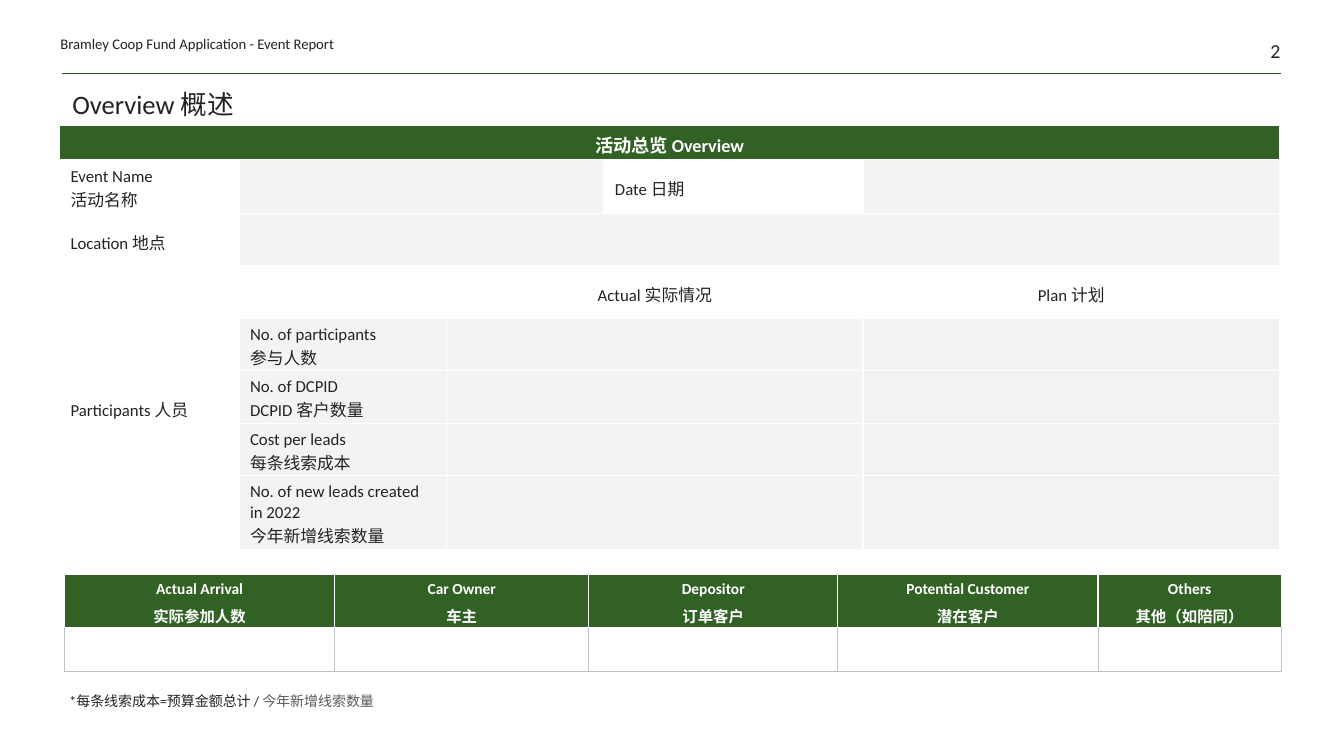
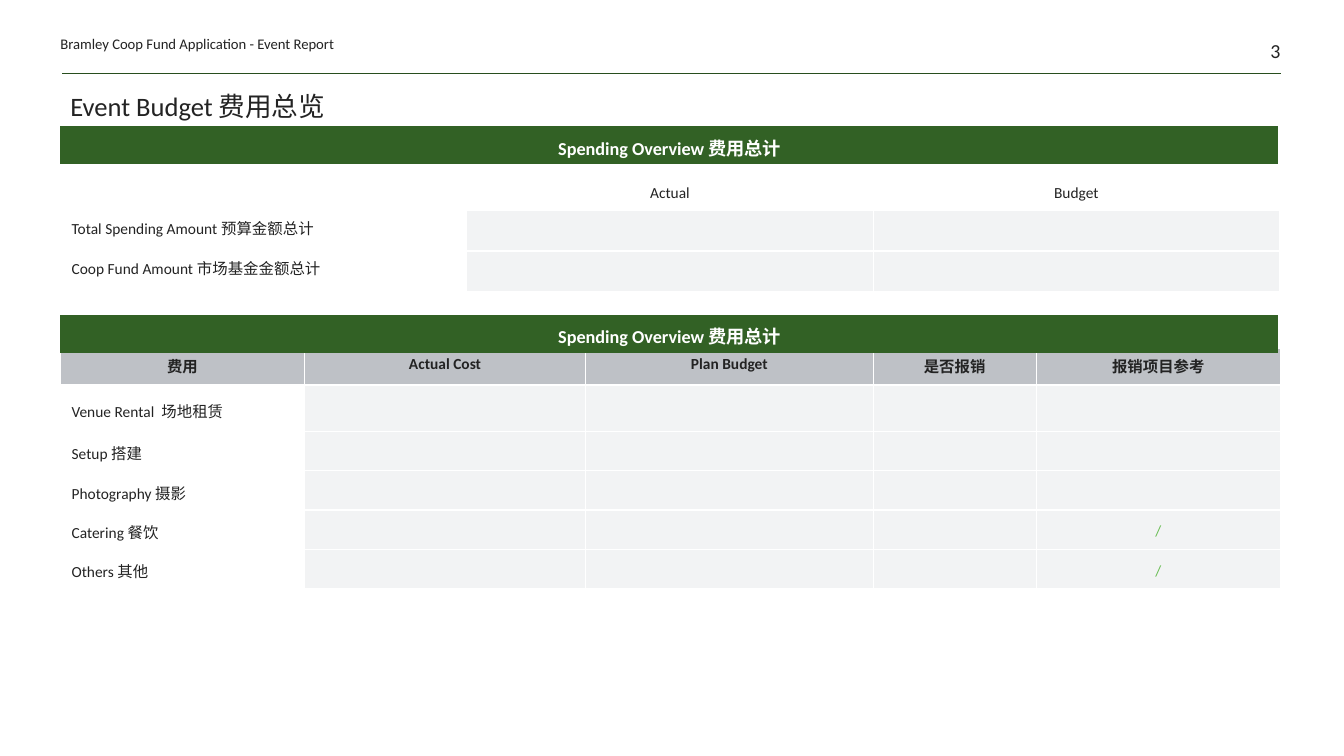
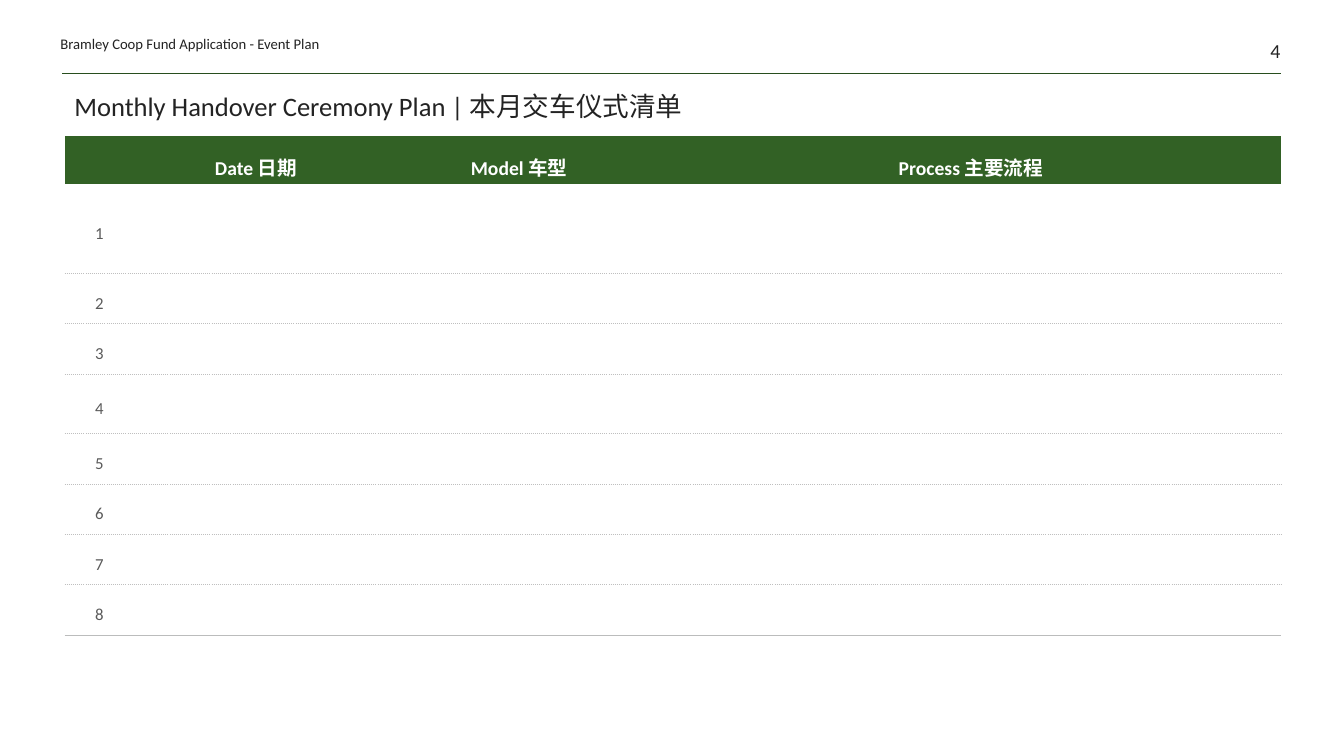
import dataclasses

import pptx
import pptx.dml.color
import pptx.enum.shapes
import pptx.enum.text
import pptx.oxml.ns
import pptx.util
from lxml import etree

Inches = pptx.util.Inches
Pt = pptx.util.Pt
ALIGN = pptx.enum.text.PP_ALIGN
ANCHOR = pptx.enum.text.MSO_ANCHOR
qn = pptx.oxml.ns.qn


@dataclasses.dataclass(frozen=True)
class Theme:
    """Colours, fonts and type sizes of the deck."""

    latin: str = "Calibri"
    chinese: str = "Noto Sans CJK SC"
    ink: str = "232323"
    muted: str = "5A5A5A"
    white: str = "FFFFFF"
    green: str = "326125"
    rule: str = "284E1E"
    accent: str = "67BC51"
    field: str = "F2F3F4"
    plan: str = "F2F2F2"
    grey: str = "BEC1C6"
    dots: str = "BFBFBF"
    closing: str = "BBBCBC"
    title: float = 19
    number: float = 14.2
    process: float = 14
    banner: float = 13
    body: float = 12
    small: float = 11
    header: float = 10.5
    note: float = 10


class Report:
    """Builds report slides in one shared style."""

    def __init__(self):
        self.theme = Theme()
        self.deck = pptx.Presentation()
        self.deck.slide_width = Inches(13.33)
        self.deck.slide_height = Inches(7.5)
        self.slide = None

    def color(self, value):
        return pptx.dml.color.RGBColor.from_string(value)

    def style(self, span, size, color, bold=False):
        span.font.size = Pt(size)
        span.font.bold = bold
        span.font.color.rgb = self.color(color)
        span.font.name = self.theme.latin
        east = etree.SubElement(span._r.get_or_add_rPr(), qn("a:ea"))
        east.set("typeface", self.theme.chinese)

    def label(self, frame, text, size, color=None, bold=False,
              align=ALIGN.LEFT, spacing=None, before=0):
        frame.text = text
        for index, para in enumerate(frame.paragraphs):
            para.alignment = align
            if spacing:
                para.line_spacing = spacing
            if before and index:
                para.space_before = Pt(before)
            for span in para.runs:
                self.style(span, size, color or self.theme.ink, bold)

    def text(self, at, text, size, anchor=ANCHOR.BOTTOM, inset=True, **look):
        box = self.slide.shapes.add_textbox(*map(Inches, at))
        frame = box.text_frame
        frame.word_wrap = True
        frame.vertical_anchor = anchor
        if not inset:
            frame.margin_left = frame.margin_right = 0
            frame.margin_top = frame.margin_bottom = 0
        self.label(frame, text, size, **look)
        return frame

    def page(self, number, header, title, title_at):
        theme = self.theme
        self.slide = self.deck.slides.add_slide(self.deck.slide_layouts[6])
        line = self.slide.shapes.add_connector(
            pptx.enum.shapes.MSO_CONNECTOR.STRAIGHT,
            Inches(0.62), Inches(0.73), Inches(12.71), Inches(0.73))
        line.line.color.rgb = self.color(theme.rule)
        line.line.width = Pt(0.5)
        etree.SubElement(line._element.spPr, qn("a:effectLst"))
        self.text((11.87, 0, 0.83, 0.62), str(number), theme.number,
                  inset=False, align=ALIGN.RIGHT)
        self.text((0.6, 0.29, 4.17, 0.23), header, theme.header, inset=False)
        self.text(title_at, title, theme.title, spacing=0.85)

    def borders(self, cell, sides):
        properties = cell._tc.get_or_add_tcPr()
        for side in "LRTB":
            for old in properties.findall(qn("a:ln" + side)):
                properties.remove(old)
        for index, side in enumerate("LRTB"):
            line = etree.Element(qn("a:ln" + side))
            properties.insert(index, line)
            if side not in sides:
                etree.SubElement(line, qn("a:noFill"))
                continue
            color, width, dash = sides[side]
            line.set("w", str(Pt(width)))
            paint = etree.SubElement(line, qn("a:solidFill"))
            etree.SubElement(paint, qn("a:srgbClr")).set("val", color)
            etree.SubElement(line, qn("a:prstDash")).set("val", dash)

    def table(self, left, top, columns, rows, sides=None):
        frame = self.slide.shapes.add_table(
            len(rows), len(columns), Inches(left), Inches(top),
            Inches(sum(columns)), Inches(sum(rows)))
        table = frame.table
        table.first_row = table.horz_banding = False
        for column, width in zip(table.columns, columns):
            column.width = Inches(width)
        for row, height in zip(table.rows, rows):
            row.height = Inches(height)
            for cell in row.cells:
                cell.margin_left = cell.margin_right = Inches(0.11)
                cell.margin_top = Inches(0.06)
                cell.margin_bottom = Inches(0.02)
                cell.vertical_anchor = ANCHOR.MIDDLE
                cell.fill.background()
                self.borders(cell, sides or {})
        return table

    def paint(self, cell, color):
        cell.fill.solid()
        cell.fill.fore_color.rgb = self.color(color)

    def heading(self, cell, text, size, **look):
        self.paint(cell, self.theme.green)
        self.label(cell.text_frame, text, size, self.theme.white, True,
                   ALIGN.CENTER, **look)

    def banner(self, top, text):
        table = self.table(0.6, top, [12.08], [0.38])
        self.heading(table.cell(0, 0), text, self.theme.banner)

    def grid(self, color, width, sides="LRTB", dash="solid"):
        return dict.fromkeys(sides, (color, width, dash))


def overview(report):
    theme = report.theme
    report.page(2, "Bramley Coop Fund Application - Event Report",
                "Overview 概述", (0.62, 0.84, 12.09, 0.4))
    note = report.text((0.59, 6.82, 5.6, 0.27), "*每条线索成本=预算金额总计 / ",
                       theme.note, anchor=ANCHOR.TOP)
    span = note.paragraphs[0].add_run()
    span.text = "今年新增线索数量"
    report.style(span, theme.note, theme.muted)

    table = report.table(0.59, 1.24, [1.78, 2.06, 1.56, 2.57, 4.13],
                         [0.34, 0.54] + [0.52] * 5 + [0.73],
                         report.grid(theme.white, 1))
    merges = [(0, 0, 0, 4), (1, 1, 1, 2), (2, 1, 2, 4), (3, 0, 7, 0)]
    merges += [(row, 2, row, 3) for row in range(3, 8)]
    for top, left, bottom, right in merges:
        table.cell(top, left).merge(table.cell(bottom, right))
    report.heading(table.cell(0, 0), "活动总览 Overview", theme.banner)
    labels = {
        (1, 0): "Event Name\n活动名称",
        (1, 3): "Date 日期",
        (2, 0): "Location 地点",
        (3, 0): "Participants 人员",
        (3, 2): "Actual 实际情况",
        (3, 4): "Plan 计划",
        (4, 1): "No. of participants\n参与人数",
        (5, 1): "No. of DCPID\nDCPID 客户数量",
        (6, 1): "Cost per leads\n每条线索成本",
        (7, 1): "No. of new leads created in 2022\n今年新增线索数量",
    }
    for (row, column), label in labels.items():
        cell = table.cell(row, column)
        centred = row == 3 and column
        report.label(cell.text_frame, label, theme.body,
                     align=ALIGN.CENTER if centred else ALIGN.LEFT)
        if row > 3:
            cell.vertical_anchor = ANCHOR.TOP
    for place in [(1, 1), (1, 4), (2, 1)]:
        report.paint(table.cell(*place), theme.field)
    for row in range(4, 8):
        for column, color in [(1, theme.field), (2, theme.field), (4, theme.plan)]:
            report.paint(table.cell(row, column), color)

    groups = ["Actual Arrival\n实际参加人数", "Car Owner\n车主", "Depositor\n订单客户",
              "Potential Customer\n潜在客户", "Others\n其他（如陪同）"]
    arrivals = report.table(0.64, 5.7, [2.68, 2.52, 2.47, 2.58, 1.82],
                            [0.52, 0.44], report.grid(theme.grey, 0.5, "LRB"))
    for column, group in enumerate(groups):
        cell = arrivals.cell(0, column)
        cell.margin_top, cell.margin_bottom = Inches(0.05), 0
        report.borders(cell, report.grid(theme.white, 1, "LR"))
        report.heading(cell, group, theme.small, before=4)


def budget(report):
    theme = report.theme
    report.page(3, "Bramley Coop Fund Application - Event Report",
                "Event Budget 费用总览", (0.6, 0.74, 12.08, 0.52))
    white = report.grid(theme.white, 1)
    report.banner(1.25, "Spending Overview 费用总计")
    totals = report.table(0.6, 1.7, [4.03] * 3, [0.39, 0.4, 0.4], white)
    for column, label in enumerate(["Actual", "Budget"], 1):
        report.label(totals.cell(0, column).text_frame, label, theme.small,
                     align=ALIGN.CENTER)
    amounts = ["Total Spending Amount 预算金额总计", "Coop Fund Amount 市场基金金额总计"]
    for row, label in enumerate(amounts, 1):
        totals.cell(row, 0).vertical_anchor = ANCHOR.TOP
        report.label(totals.cell(row, 0).text_frame, label, theme.small)
        for column in (1, 2):
            report.paint(totals.cell(row, column), theme.field)

    costs = report.table(0.6, 3.46, [2.42, 2.79, 2.85, 1.62, 2.42],
                         [0.36, 0.46] + [0.39] * 4, white)
    heads = ["费用", "Actual Cost", "Plan Budget", "是否报销", "报销项目参考"]
    for column, head in enumerate(heads):
        cell = costs.cell(0, column)
        cell.vertical_anchor = ANCHOR.TOP
        report.paint(cell, theme.grey)
        report.label(cell.text_frame, head, theme.small, bold=True,
                     align=ALIGN.CENTER)
    items = ["Venue Rental  场地租赁", "Setup 搭建", "Photography 摄影",
             "Catering 餐饮", "Others 其他"]
    for row, item in enumerate(items, 1):
        report.label(costs.cell(row, 0).text_frame, item, theme.small)
        for column in range(1, 5):
            report.paint(costs.cell(row, column), theme.field)
    for row in (4, 5):
        report.label(costs.cell(row, 4).text_frame, "/", theme.small,
                     theme.accent, align=ALIGN.CENTER)
    report.banner(3.12, "Spending Overview 费用总计")


def handover(report):
    theme = report.theme
    report.page(4, "Bramley Coop Fund Application - Event Plan",
                "Monthly Handover Ceremony Plan | 本月交车仪式清单",
                (0.64, 0.74, 12.07, 0.52))
    table = report.table(0.64, 1.35, [0.69, 2.42, 2.8, 6.16],
                         [0.48, 0.88, 0.5, 0.5, 0.59] + [0.5] * 4)
    heads = ["", "Date 日期", "Model 车型", "Process 主要流程"]
    for column, head in enumerate(heads):
        report.heading(table.cell(0, column), head, theme.process, spacing=1.3)
    dotted = report.grid(theme.dots, 0.25, "TB", "sysDot")
    first = report.grid(theme.dots, 0.25, "B", "sysDot")
    last = dotted | report.grid(theme.closing, 0.5, "B")
    for row in range(1, 9):
        report.label(table.cell(row, 0).text_frame, str(row), theme.body,
                     theme.muted, align=ALIGN.CENTER, spacing=1.3)
        for column in range(4):
            report.borders(table.cell(row, column),
                           {1: first, 8: last}.get(row, dotted))


def main():
    report = Report()
    overview(report)
    budget(report)
    handover(report)
    report.deck.save("out.pptx")


if __name__ == "__main__":
    main()
